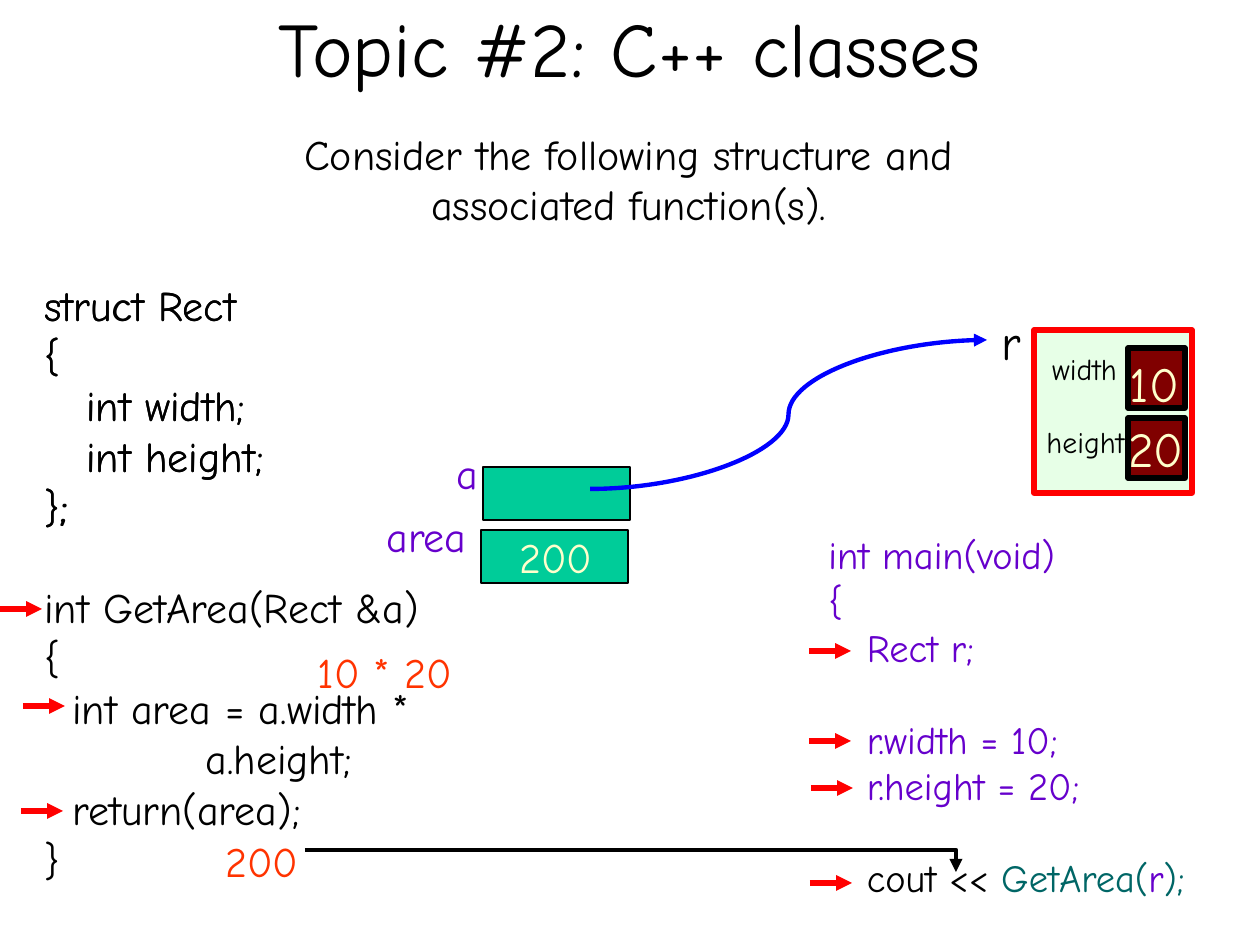
from lxml import etree
from pptx import Presentation
from pptx import util as u
from pptx.dml.color import RGBColor
from pptx.enum import shapes, text
from pptx.oxml.ns import qn

PX = 914400 / 126
FONT = "Comic Neue"
BLACK = RGBColor(0x00, 0x00, 0x00)
RED = RGBColor(0xFF, 0x00, 0x00)
BLUE = RGBColor(0x00, 0x00, 0xFF)
PURPLE = RGBColor(0x66, 0x00, 0xCC)
TEAL = RGBColor(0x00, 0x66, 0x66)
ORANGE = RGBColor(0xFF, 0x33, 0x00)
CREAM = RGBColor(0xFF, 0xFF, 0xCC)
MINT = RGBColor(0xE7, 0xFF, 0xE7)
MAROON = RGBColor(0x80, 0x00, 0x00)
GREEN = RGBColor(0x00, 0xCC, 0x99)

LEFT, MID = text.PP_ALIGN.LEFT, text.PP_ALIGN.CENTER
LINE = shapes.MSO_CONNECTOR.STRAIGHT
CURVE = shapes.MSO_CONNECTOR.CURVE
ELBOW = shapes.MSO_CONNECTOR.ELBOW

STRUCT = ["struct Rect", "{", "   int width;", "   int height;", "};"]
AREA = ["int GetArea(Rect &a)", "{", "  int area = a.width *",
        "\t       a.height;", "  return(area);", "}"]
MAIN = ["int main(void)", "{", "   Rect r;", "   r.width = 10;",
        "   r.height = 20;"]
CALL = [("   cout <<", BLACK), (" GetArea(", TEAL), ("r", PURPLE), (");", TEAL)]


def emu(*px):
    return [u.Emu(round(n * PX)) for n in px]


def style(run, size, color):
    run.font.name = FONT
    run.font.size = u.Pt(size)
    run.font.color.rgb = color


def add_text(slide, box, lines, size, color, align=LEFT, wrap=False, gaps=()):
    """Add a text box; an empty line goes before each line listed in gaps."""
    frame = slide.shapes.add_textbox(*emu(*box)).text_frame
    frame.word_wrap = wrap
    frame.auto_size = text.MSO_AUTO_SIZE.SHAPE_TO_FIT_TEXT
    for i, line in enumerate(lines):
        para = frame.paragraphs[0] if i == 0 else frame.add_paragraph()
        para.alignment = align
        if line in gaps:
            para.space_before = u.Pt(size * 1.2)
        parts = [(line, color)] if isinstance(line, str) else line
        for words, tint in parts:
            run = para.add_run()
            run.text = words
            style(run, size, tint)


def add_rect(slide, box, fill, edge, width):
    rect = slide.shapes.add_shape(shapes.MSO_SHAPE.RECTANGLE, *emu(*box))
    rect.shadow.inherit = False
    rect.fill.solid()
    rect.fill.fore_color.rgb = fill
    rect.line.color.rgb = edge
    rect.line.width = u.Pt(width)


def add_arrow(slide, kind, ends, color, width):
    arrow = slide.shapes.add_connector(kind, *emu(*ends))
    arrow.line.color.rgb = color
    arrow.line.width = u.Pt(width)
    etree.SubElement(arrow.line._get_or_add_ln(), qn("a:tailEnd"), type="triangle")
    props = arrow._element.spPr
    etree.SubElement(props, qn("a:effectLst"))
    if kind == ELBOW:  # a single corner
        props.find(qn("a:prstGeom")).set("prst", "bentConnector2")


def add_title(slide):
    title = slide.shapes.title
    title.left, title.top, title.width, title.height = emu(63, -32, 1134, 158)
    frame = title.text_frame
    frame.text = "Topic #2: C++ classes"
    frame.vertical_anchor = text.MSO_ANCHOR.MIDDLE
    frame.paragraphs[0].alignment = MID
    style(frame.paragraphs[0].runs[0], 44, BLACK)


def add_code(slide):
    add_text(slide, (32, 273, 651, 616), STRUCT + AREA, 24, BLACK,
             wrap=True, gaps=AREA[:1])
    add_text(slide, (32, 273, 378, 265), STRUCT, 24, BLACK, wrap=True)
    add_text(slide, (816, 525, 402, 382), MAIN + [CALL], 22, PURPLE,
             gaps=[MAIN[3], CALL])


def add_object(slide):
    """Draw r with its two members."""
    add_rect(slide, (1034, 330, 158, 163), MINT, RED, 3)
    add_text(slide, (987, 305, 49, 72), ["r"], 28, BLACK, MID)
    members = [("width", (1033, 345, 103, 48), 348, "10", (1116, 347, 77, 72)),
               ("height", (1028, 418, 115, 48), 418, "20", (1113, 412, 86, 72))]
    for name, label, top, value, box in members:
        add_rect(slide, (1128, top, 57, 60), MAROON, BLACK, 3)
        add_text(slide, label, [name], 17, BLACK, MID)
        add_text(slide, box, [value], 28, CREAM, MID)


def add_locals(slide):
    """Draw the variables a and area of the function."""
    for x, y in [(483, 467), (481, 530)]:
        add_rect(slide, (x, y, 147, 53), GREEN, BLACK, 0.75)
    add_text(slide, (444, 441, 47, 63), ["a"], 24, PURPLE)
    add_text(slide, (374, 504, 261, 63), ["area"], 24, PURPLE, wrap=True)
    add_text(slide, (507, 525, 102, 63), ["200"], 24, CREAM)


def main():
    prs = Presentation()
    prs.slide_width, prs.slide_height = emu(1260, 945)
    slide = prs.slides.add_slide(prs.slide_layouts[5])
    add_title(slide)
    add_text(slide, (246, 122, 765, 113),
             ["Consider the following structure and associated function(s)."],
             24, BLACK, MID, wrap=True)
    add_code(slide)
    add_object(slide)
    add_locals(slide)
    add_text(slide, (305, 640, 169, 63), ["10 * 20"], 24, ORANGE)
    add_text(slide, (213, 829, 102, 63), ["200"], 24, ORANGE)
    steps = [(809, 651), (809, 741), (811, 788), (810, 883),
             (0, 609), (23, 706), (21, 811)]
    for x, y in steps:
        add_arrow(slide, LINE, (x, y, x + 42, y), RED, 3)
    add_arrow(slide, CURVE, (590, 489, 987, 340), BLUE, 2.5)
    add_arrow(slide, ELBOW, (305, 850, 956, 872), BLACK, 2.5)
    prs.save("out.pptx")


if __name__ == "__main__":
    main()
